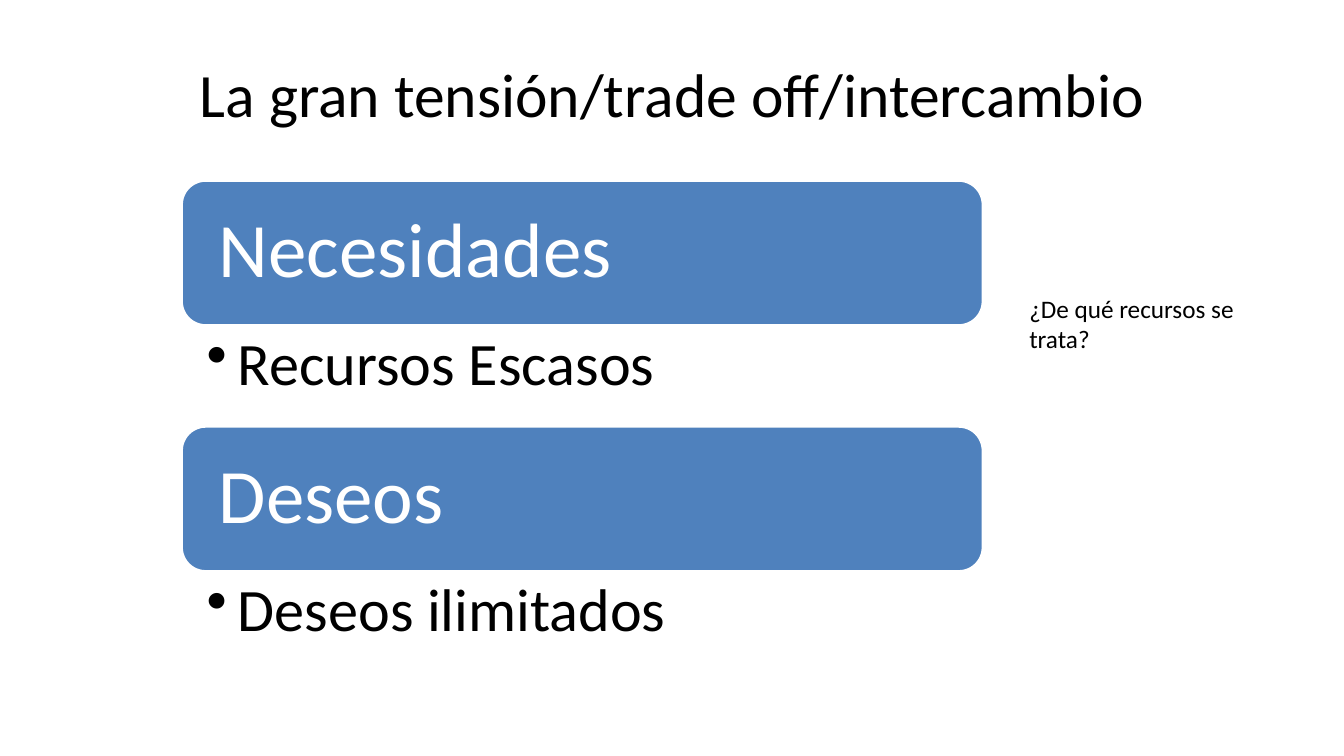
"""Build a slide that sets needs and wants against resources."""
from lxml import etree
from pptx import Presentation
from pptx.dml.color import RGBColor
from pptx.enum.shapes import MSO_SHAPE
from pptx.enum.text import MSO_ANCHOR, PP_ALIGN
from pptx.oxml.ns import qn
from pptx.util import Inches, Pt

ROUND = MSO_SHAPE.ROUNDED_RECTANGLE
TOP, MIDDLE = MSO_ANCHOR.TOP, MSO_ANCHOR.MIDDLE
LEFT, CENTER = PP_ALIGN.LEFT, PP_ALIGN.CENTER

TITLE = "La gran tensión/trade off/intercambio"
NOTE = "¿De qué recursos se trata?"
PAIRS = [
    ("Necesidades", "Recursos Escasos"),
    ("Deseos", "Deseos ilimitados"),
]
COLORS = {"bar": "4F81BD", "light": "FFFFFF", "dark": "000000"}
FONT = "Calibri"
BAR_X, BAR_Y, BAR_W, BAR_H = 1.8, 1.79, 7.95, 1.44
ITEM_H = 1
STEP = BAR_H + ITEM_H


def color(name):
    return RGBColor.from_string(COLORS[name])


def write(shape, text, size, ink, anchor=TOP, align=LEFT,
          pad=(0.1, 0.05, 0.1, 0.05), space=1.0, bullet=False):
    frame = shape.text_frame
    frame.word_wrap = True
    frame.vertical_anchor = anchor
    (frame.margin_left, frame.margin_top,
     frame.margin_right, frame.margin_bottom) = map(Inches, pad)
    para = frame.paragraphs[0]
    para.alignment = align
    para.line_spacing = space
    if bullet:
        props = para._p.get_or_add_pPr()
        props.set("marL", str(Inches(0.31)))
        props.set("indent", str(Inches(-0.31)))
        etree.SubElement(props, qn("a:buChar")).set("char", "•")
    run = para.add_run()
    run.text = text
    run.font.name = FONT
    run.font.size = Pt(size)
    run.font.color.rgb = color(ink)


def add_box(slide, x, y, w, h):
    return slide.shapes.add_textbox(*map(Inches, (x, y, w, h)))


def add_bar(slide, y):
    bar = slide.shapes.add_shape(
        ROUND, *map(Inches, (BAR_X, y, BAR_W, BAR_H)))
    bar.shadow.inherit = False
    bar.fill.solid()
    bar.fill.fore_color.rgb = color("bar")
    bar.line.color.rgb = color("light")
    bar.line.width = Pt(2)
    return bar


def main():
    deck = Presentation()
    deck.slide_width, deck.slide_height = Inches(13.33), Inches(7.5)
    slide = deck.slides.add_slide(deck.slide_layouts[6])
    write(add_box(slide, 0.67, 0.3, 12, 1.25), TITLE, 44, "dark",
          anchor=MIDDLE, align=CENTER)
    for row, (head, item) in enumerate(PAIRS):
        y = BAR_Y + row * STEP
        write(add_bar(slide, y), head, 55, "light", anchor=MIDDLE,
              pad=(0.3, 0.23, 0.3, 0.23), space=0.9)
        write(add_box(slide, BAR_X, y + BAR_H, BAR_W, ITEM_H), item, 43,
              "dark", pad=(0.25, 0.08, 0.43, 0.08), space=0.9, bullet=True)
    write(add_box(slide, 10.11, 2.86, 2.55, 0.71), NOTE, 18, "dark")
    deck.save("out.pptx")


if __name__ == "__main__":
    main()
